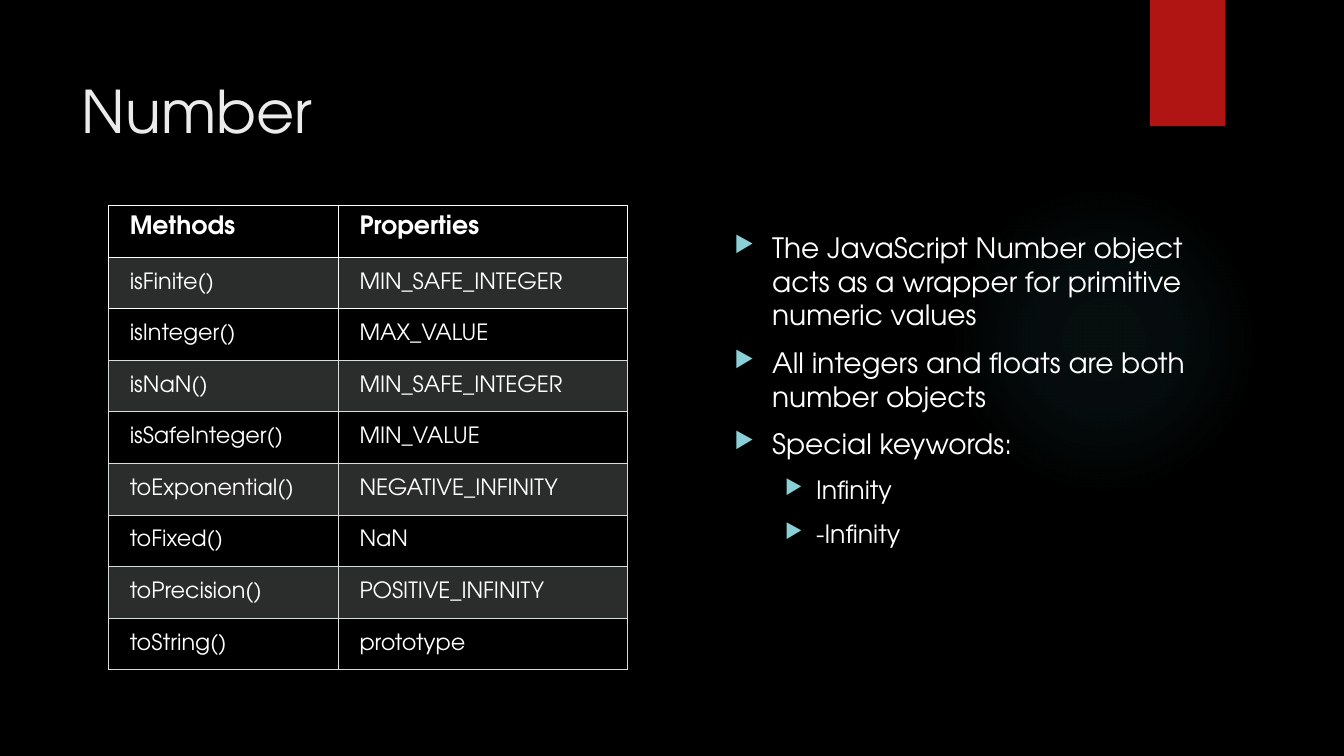
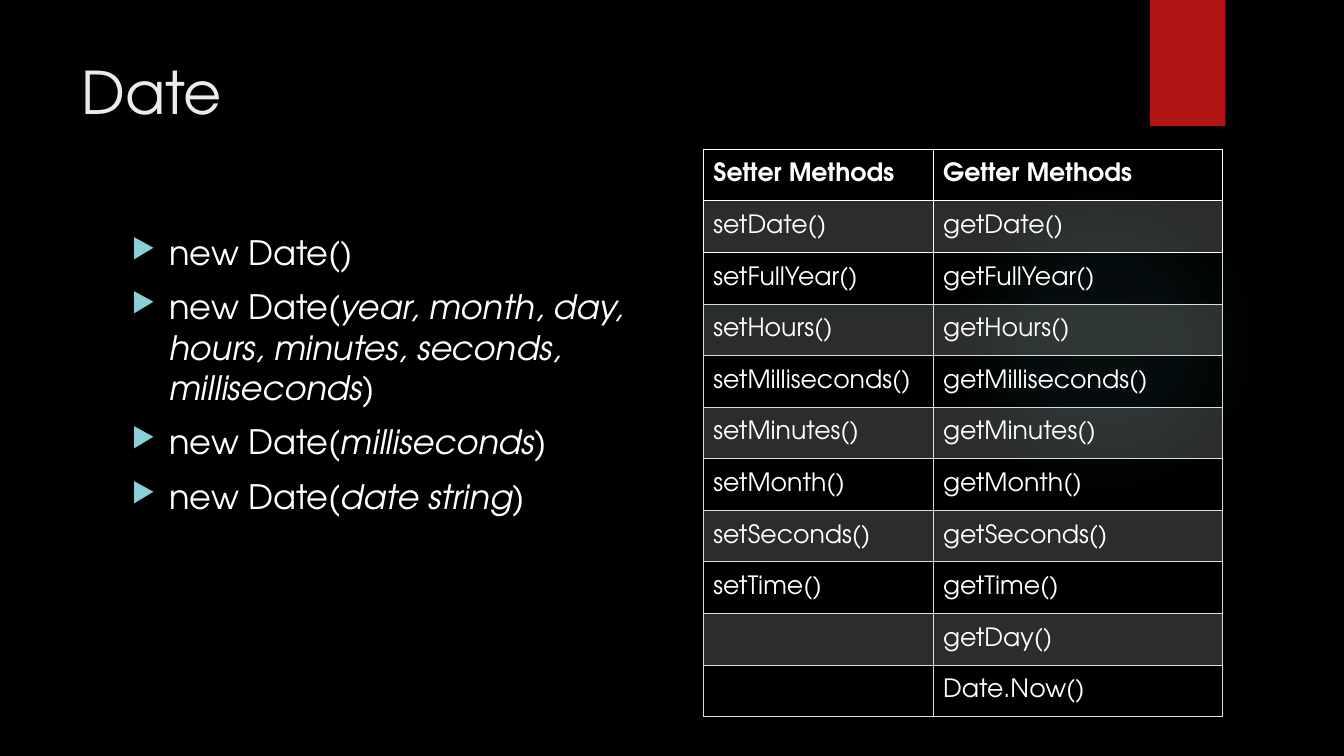
from dataclasses import dataclass
from itertools import zip_longest
from typing import Any

from lxml import etree
from pptx import Presentation
from pptx.dml.color import RGBColor
from pptx.enum import shapes, text
from pptx.oxml import ns
from pptx.util import Cm, Pt


@dataclass(frozen=True)
class Theme:
    font: str = "TeX Gyre Adventor"
    background: str = "000000"
    band: str = "B01513"
    glow: str = "50B9C1"
    title: str = "EBEBEB"
    body: str = "FFFFFF"
    marker: str = "8AD0D6"
    stripe: str = "D8DEDC"
    title_size: int = 42
    header_size: int = 18
    sub_bullet_size: int = 18
    bullet_gap: int = 10


@dataclass(frozen=True)
class Box:
    """Left, top, width and height in centimetres."""
    left: float
    top: float
    width: float
    height: float

    def lengths(self) -> tuple[Cm, Cm, Cm, Cm]:
        return Cm(self.left), Cm(self.top), Cm(self.width), Cm(self.height)


@dataclass(frozen=True)
class Bullet:
    """Every second phrase is set in italics."""
    phrases: tuple[str, ...]
    level: int = 0


@dataclass(frozen=True)
class BulletList:
    box: Box
    size: int
    bullets: tuple[Bullet, ...]


@dataclass(frozen=True)
class MethodTable:
    left: float
    top: float
    headers: tuple[str, str]
    columns: tuple[tuple[str, ...], tuple[str, ...]]
    size: int
    inset_left: float = 0.25
    inset: float = 0.13
    header_anchor: Any = text.MSO_ANCHOR.MIDDLE


@dataclass(frozen=True)
class Topic:
    title: str
    title_box: Box
    notes: BulletList
    members: MethodTable


THEME = Theme()
SLIDE_WIDTH, SLIDE_HEIGHT = 33.87, 19.05
GLOW_BOX = Box(23.9, 4.65, 7.82, 7.82)
BAND_BOX = Box(28.98, 0, 1.9, 3.18)
GLOW_STOPS = ((0, 7), (36, 6), (69, 0))  # position and opacity, in percent
BULLET_INDENTS = ((0.95, 0.95), (2.06, 0.79))  # margin and hang, by level
COLUMN_WIDTHS = (5.79, 7.29)
ROW_HEIGHT = 1.3

DATE_FIELDS = ("Date", "FullYear", "Hours", "Milliseconds",
               "Minutes", "Month", "Seconds", "Time")

TOPICS = (
    Topic(
        "Number",
        Box(1.8, 1.75, 25.7, 3.4),
        BulletList(Box(18.26, 5.69, 12.27, 11.66), 20, (
            Bullet(("The JavaScript Number object acts as a wrapper "
                    "for primitive numeric values",)),
            Bullet(("All integers and floats are both number objects",)),
            Bullet(("Special keywords:",)),
            Bullet(("Infinity",), 1),
            Bullet(("-Infinity",), 1),
        )),
        MethodTable(
            2.74, 5.18, ("Methods", "Properties"),
            (("isFinite()", "isInteger()", "isNaN()", "isSafeInteger()",
              "toExponential()", "toFixed()", "toPrecision()", "toString()"),
             ("MIN_SAFE_INTEGER", "MAX_VALUE", "MIN_SAFE_INTEGER", "MIN_VALUE",
              "NEGATIVE_INFINITY", "NaN", "POSITIVE_INFINITY", "prototype")),
            size=16, inset_left=0.53, inset=0.25,
            header_anchor=text.MSO_ANCHOR.TOP),
    ),
    Topic(
        "Date",
        Box(1.8, 1.27, 26.14, 3.89),
        BulletList(Box(3.07, 5.72, 13.87, 11.66), 24, (
            Bullet(("new Date()",)),
            Bullet(("new Date(", "year, month, day, hours, minutes, seconds, "
                    "milliseconds", ")")),
            Bullet(("new Date(", "milliseconds", ")")),
            Bullet(("new Date(", "date string", ")")),
        )),
        MethodTable(
            17.73, 3.76, ("Setter Methods", "Getter Methods"),
            (tuple(f"set{field}()" for field in DATE_FIELDS),
             (*(f"get{field}()" for field in DATE_FIELDS),
              "getDay()", "Date.Now()")),
            size=18),
    ),
)


def add_xml(parent: Any, tag: str, **attributes: Any) -> Any:
    return etree.SubElement(parent, ns.qn(f"a:{tag}"),
                            {key: str(value) for key, value in attributes.items()})


def add_color(parent: Any, color: str, opacity: int = 100) -> None:
    rgb = add_xml(parent, "srgbClr", val=color)
    if opacity < 100:
        add_xml(rgb, "alpha", val=opacity * 1000)


def style_runs(paragraph: Any, size: int, color: str, bold: bool = False) -> None:
    for run in paragraph.runs:
        run.font.name = THEME.font
        run.font.size = Pt(size)
        run.font.bold = bold
        run.font.color.rgb = RGBColor.from_string(color)


def add_glow(slide: Any) -> None:
    glow = slide.shapes.add_shape(shapes.MSO_SHAPE.OVAL, *GLOW_BOX.lengths())
    glow.shadow.inherit = False
    glow.line.fill.background()
    glow.fill.background()
    properties = glow._element.spPr
    gradient = add_xml(properties, "gradFill", rotWithShape=1)
    properties.replace(properties.find(ns.qn("a:noFill")), gradient)
    stops = add_xml(gradient, "gsLst")
    for position, opacity in GLOW_STOPS:
        add_color(add_xml(stops, "gs", pos=position * 1000), THEME.glow, opacity)
    circle = add_xml(gradient, "path")
    circle.set("path", "circle")
    add_xml(circle, "fillToRect", l=50000, t=50000, r=50000, b=50000)


def add_band(slide: Any) -> None:
    band = slide.shapes.add_shape(shapes.MSO_SHAPE.RECTANGLE, *BAND_BOX.lengths())
    band.fill.solid()
    band.fill.fore_color.rgb = RGBColor.from_string(THEME.band)
    band.line.fill.background()
    band.shadow.inherit = False
    effects = band._element.spPr.find(ns.qn("a:effectLst"))
    shadow = add_xml(effects, "outerShdw", blurRad=Pt(3), dist=Pt(2),
                     dir=90 * 60000, algn="ctr", rotWithShape=0)
    add_color(shadow, THEME.background, 45)


def add_text_frame(slide: Any, box: Box) -> Any:
    frame = slide.shapes.add_textbox(*box.lengths()).text_frame
    frame.word_wrap = True
    return frame


def add_title(slide: Any, title: str, box: Box) -> None:
    frame = add_text_frame(slide, box)
    frame.text = title
    style_runs(frame.paragraphs[0], THEME.title_size, THEME.title)


def add_marker(paragraph: Any, level: int) -> None:
    margin, hang = BULLET_INDENTS[level]
    paragraph.level = level
    paragraph.space_before = Pt(THEME.bullet_gap)
    properties = paragraph._p.get_or_add_pPr()
    properties.set("marL", str(Cm(margin)))
    properties.set("indent", str(-Cm(hang)))
    add_color(add_xml(properties, "buClr"), THEME.marker)
    add_xml(properties, "buSzPct", val=80000)
    add_xml(properties, "buChar", char="▶")


def add_bullets(slide: Any, notes: BulletList) -> None:
    frame = add_text_frame(slide, notes.box)
    for number, bullet in enumerate(notes.bullets):
        paragraph = frame.add_paragraph() if number else frame.paragraphs[0]
        add_marker(paragraph, bullet.level)
        for index, phrase in enumerate(bullet.phrases):
            run = paragraph.add_run()
            run.text = phrase
            run.font.italic = index % 2 == 1
        size = THEME.sub_bullet_size if bullet.level else notes.size
        style_runs(paragraph, size, THEME.body)


def style_cell(cell: Any, row: int) -> None:
    """Draw the borders, strong around the first two rows, and the stripe."""
    color, width = (THEME.body, 1) if row < 2 else (THEME.stripe, 0.75)
    properties = cell._tc.get_or_add_tcPr()
    for side in "LRTB":
        strong_edge = side == "T" and row == 2
        line = add_xml(properties, f"ln{side}", w=Pt(1 if strong_edge else width))
        add_color(add_xml(line, "solidFill"), THEME.body if strong_edge else color)
    if row % 2:
        add_color(add_xml(properties, "solidFill"), THEME.stripe, 20)
    else:
        cell.fill.background()


def add_method_table(slide: Any, members: MethodTable) -> None:
    rows = [members.headers, *zip_longest(*members.columns, fillvalue="")]
    box = Box(members.left, members.top, sum(COLUMN_WIDTHS), ROW_HEIGHT * len(rows))
    table = slide.shapes.add_table(len(rows), len(COLUMN_WIDTHS), *box.lengths()).table
    table.horz_banding = False
    for column, width in zip(table.columns, COLUMN_WIDTHS):
        column.width = Cm(width)
    for row, entries in enumerate(rows):
        table.rows[row].height = Cm(ROW_HEIGHT)
        is_header = row == 0
        for column, entry in enumerate(entries):
            cell = table.cell(row, column)
            cell.text_frame.text = entry
            cell.margin_left = Cm(members.inset_left)
            cell.margin_right = Cm(0.25)
            cell.margin_top = cell.margin_bottom = Cm(members.inset)
            cell.vertical_anchor = (members.header_anchor if is_header
                                    else text.MSO_ANCHOR.MIDDLE)
            style_runs(cell.text_frame.paragraphs[0],
                       THEME.header_size if is_header else members.size,
                       THEME.body, bold=is_header)
            style_cell(cell, row)


def add_topic(deck: Any, topic: Topic) -> None:
    slide = deck.slides.add_slide(deck.slide_layouts[6])
    add_glow(slide)
    add_band(slide)
    add_title(slide, topic.title, topic.title_box)
    add_bullets(slide, topic.notes)
    add_method_table(slide, topic.members)


def main() -> None:
    deck = Presentation()
    deck.slide_width, deck.slide_height = Cm(SLIDE_WIDTH), Cm(SLIDE_HEIGHT)
    backdrop = deck.slide_master.background.fill
    backdrop.solid()
    backdrop.fore_color.rgb = RGBColor.from_string(THEME.background)
    for topic in TOPICS:
        add_topic(deck, topic)
    deck.save("out.pptx")


if __name__ == "__main__":
    main()
